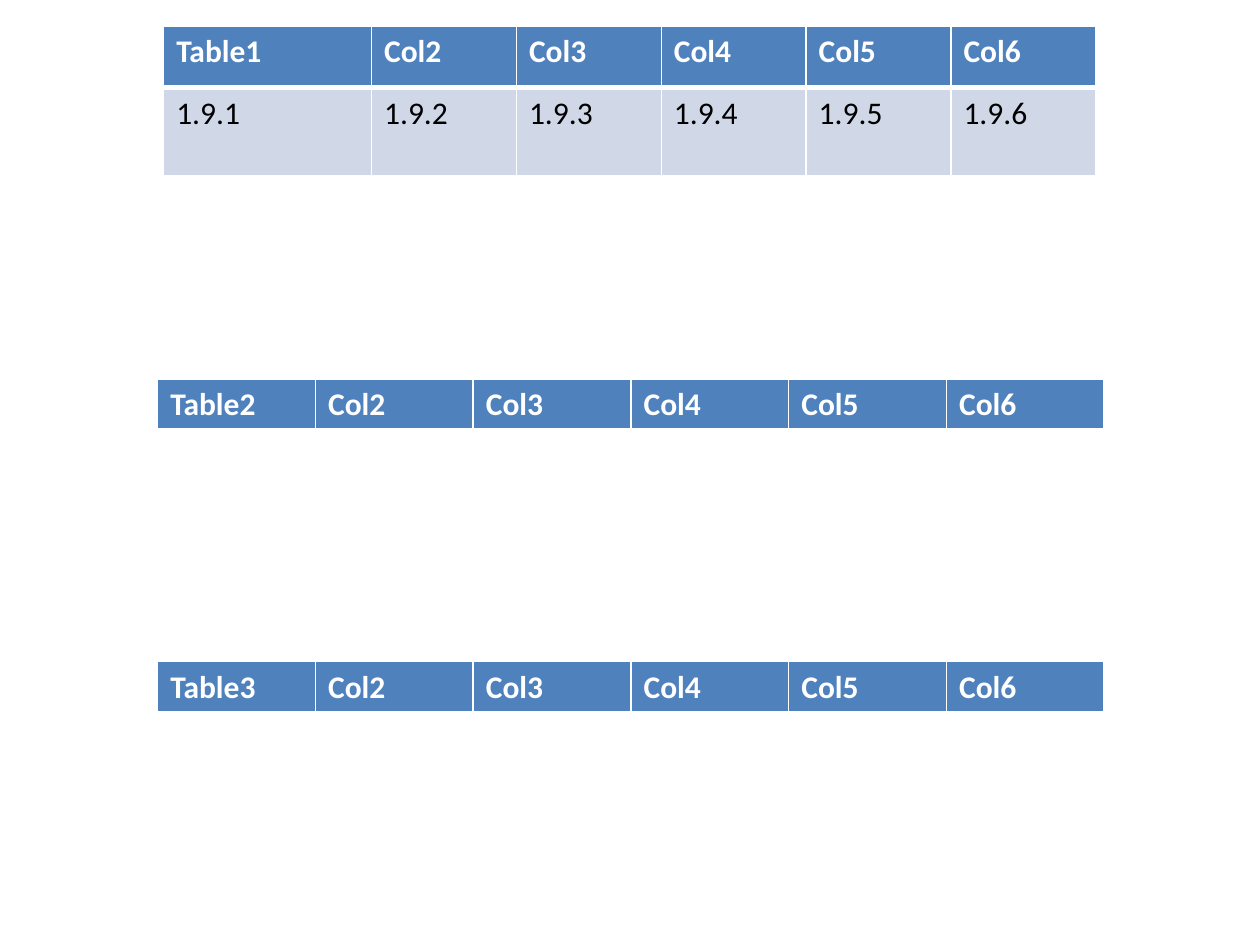
"""Build a slide with three six-column tables."""
from dataclasses import dataclass

from lxml.etree import SubElement
from pptx import Presentation
from pptx.dml.color import RGBColor
from pptx.oxml.ns import qn
from pptx.util import Cm, Pt

WHITE = RGBColor(0xFF, 0xFF, 0xFF)
BLACK = RGBColor(0x00, 0x00, 0x00)
HEADER_BLUE = RGBColor(0x4F, 0x81, 0xBD)
BODY_BLUE = RGBColor(0xD0, 0xD8, 0xE8)


@dataclass(frozen=True)
class TableBlock:
    name: str
    left: float
    top: float
    height: float
    col_widths: list[float]
    row_heights: list[float]
    body: list[list[str]]

    @property
    def rows(self) -> list[list[str]]:
        return [[self.name, *(f"Col{n}" for n in range(2, 7))], *self.body]


TABLES = [
    TableBlock("Table1", 3.3, 0.53, 6.6, [4.19] + [2.92] * 5, [1.24, 1.78],
               [[f"1.9.{n}" for n in range(1, 7)]]),
    TableBlock("Table2", 3.18, 7.65, 5.13, [3.18] * 6, [0.64], []),
    TableBlock("Table3", 3.18, 13.34, 5.13, [3.18] * 6, [0.64], []),
]


def set_borders(cell, top: int, bottom: int) -> None:
    tc_pr = cell._tc.get_or_add_tcPr()
    for side, width in (("L", 1), ("R", 1), ("T", top), ("B", bottom)):
        ln = SubElement(tc_pr, qn(f"a:ln{side}"), w=str(Pt(width)))
        fill = SubElement(ln, qn("a:solidFill"))
        SubElement(fill, qn("a:srgbClr"), val=str(WHITE))


def style_cell(cell, text: str, is_header: bool, below_header: bool) -> None:
    set_borders(cell, 3 if below_header else 1, 3 if is_header else 1)
    cell.fill.solid()
    cell.fill.fore_color.rgb = HEADER_BLUE if is_header else BODY_BLUE
    cell.text = text
    font = cell.text_frame.paragraphs[0].font
    font.name = "Calibri"
    font.size = Pt(18)
    font.bold = is_header
    font.color.rgb = WHITE if is_header else BLACK


def draw_table(s, block: TableBlock) -> None:
    frame = s.shapes.add_table(
        len(block.rows), len(block.col_widths), Cm(block.left), Cm(block.top),
        Cm(sum(block.col_widths)), Cm(block.height))
    table = frame.table
    for column, width in zip(table.columns, block.col_widths):
        column.width = Cm(width)
    for i, (row, height) in enumerate(zip(table.rows, block.row_heights)):
        row.height = Cm(height)
        for cell, text in zip(row.cells, block.rows[i]):
            style_cell(cell, text, i == 0, i == 1)
    frame.height = Cm(block.height)


def main() -> None:
    prs = Presentation()
    prs.slide_width, prs.slide_height = Cm(25.4), Cm(19.05)
    s = prs.slides.add_slide(prs.slide_layouts[6])
    for block in TABLES:
        draw_table(s, block)
    prs.save("out.pptx")


if __name__ == "__main__":
    main()
